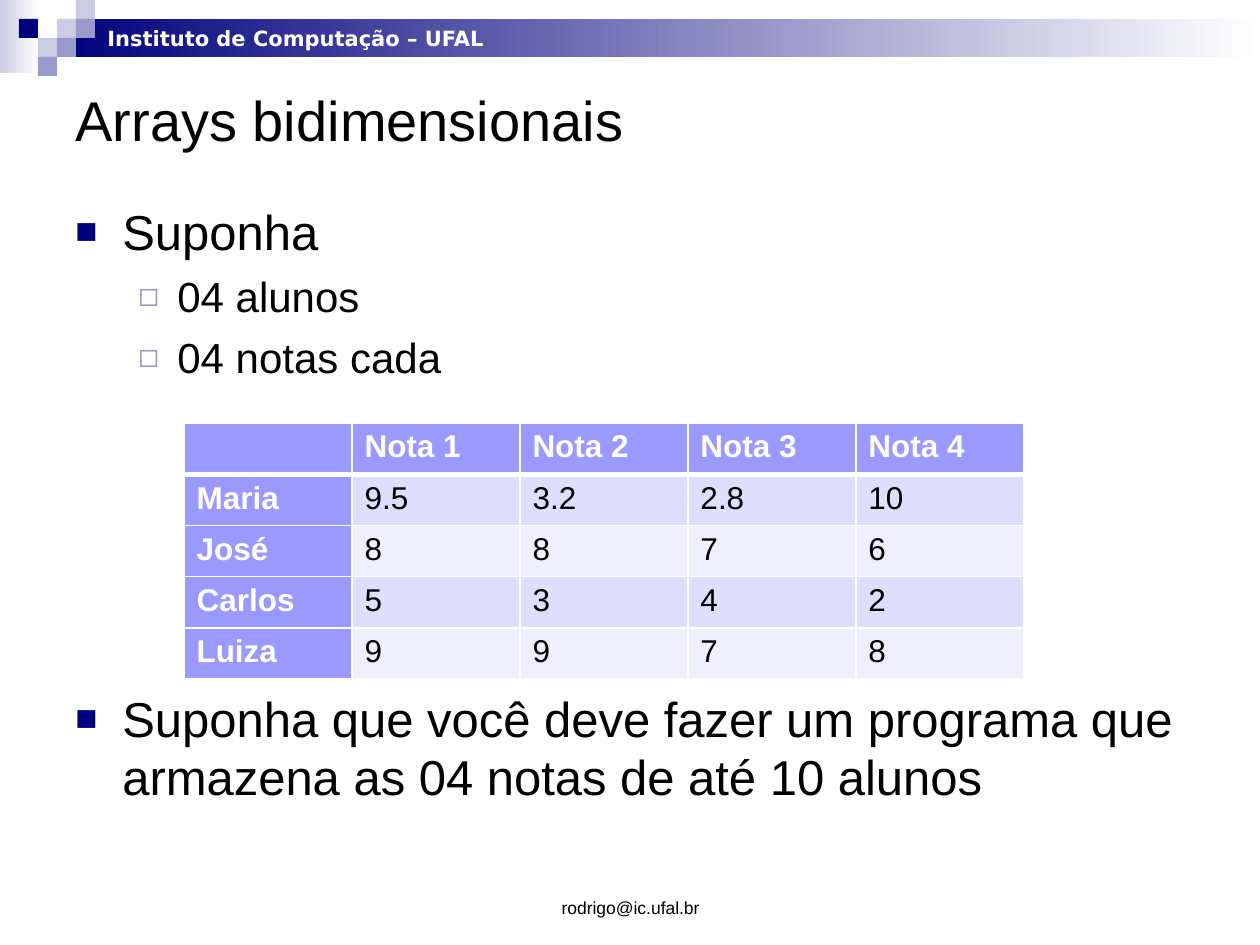
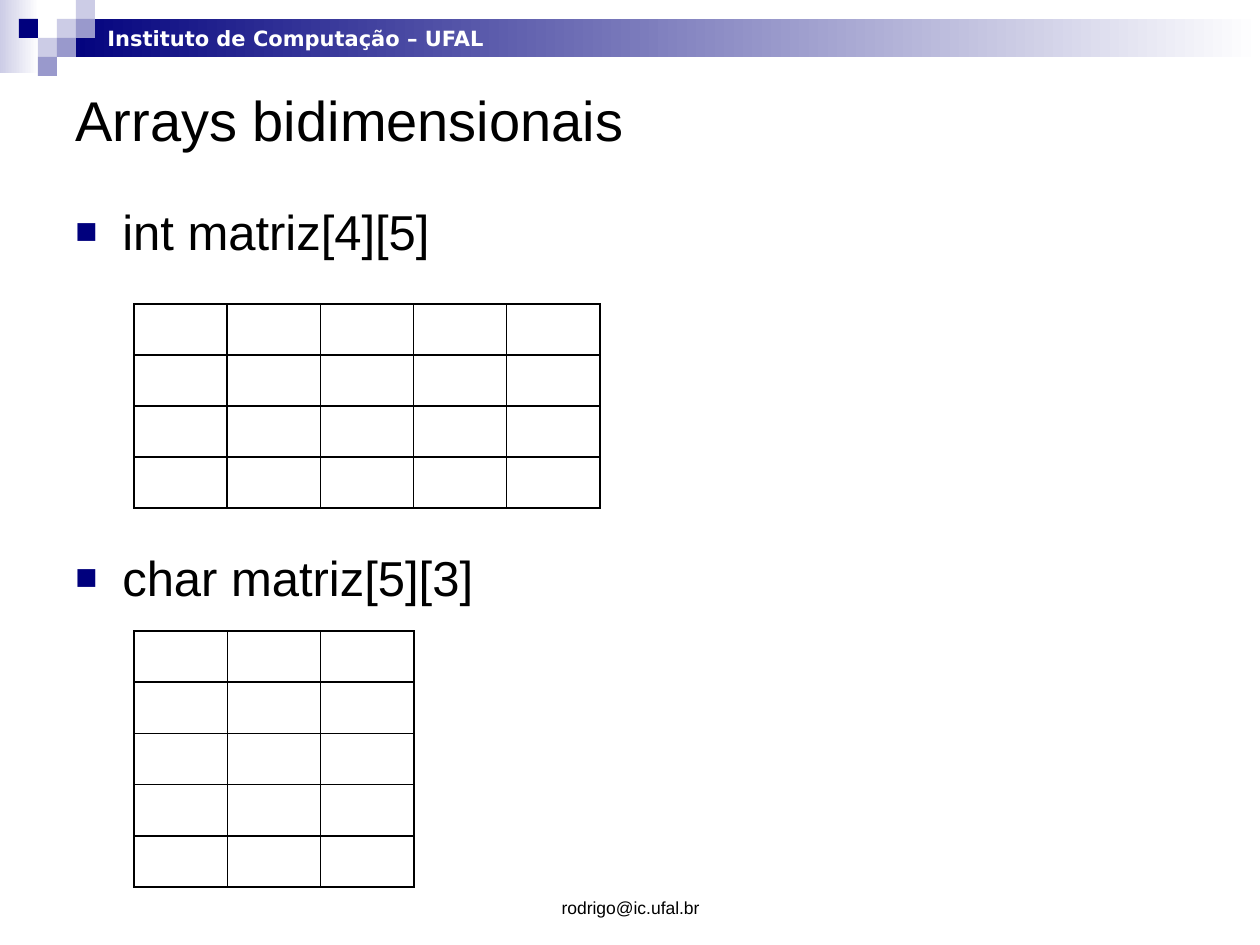
import dataclasses

import lxml.etree
import pptx
import pptx.dml.color
import pptx.enum.shapes
import pptx.enum.text
import pptx.oxml.ns
import pptx.util

PX_PER_INCH = 126
SLIDE_SIZE = (1260, 945)
SQUARE = 19
ANCHOR = pptx.enum.text.MSO_ANCHOR
ALIGN = pptx.enum.text.PP_ALIGN


def px(length):
    return pptx.util.Emu(round(length * pptx.util.Inches(1) / PX_PER_INCH))


def rgb(value):
    return pptx.dml.color.RGBColor.from_string(value)


@dataclasses.dataclass(frozen=True)
class Theme:
    navy: str = "00007D"
    lilac: str = "9999CC"
    pale: str = "CCCCE6"
    white: str = "FFFFFF"
    black: str = "000000"
    table_head: str = "9999FF"
    table_bands: tuple = ("DEDEFF", "EFEFFF")
    body_font: str = "Arial"
    band_font: str = "DejaVu Sans"
    title_size: int = 32
    body_sizes: tuple = (28, 24)
    table_size: int = 18
    band_size: int = 12
    footer_size: int = 10


@dataclasses.dataclass(frozen=True)
class Bullet:
    symbol: str
    color: str
    percent: int
    margin: int
    hanging: int


THEME = Theme()
BULLETS = (
    Bullet("■", THEME.navy, 75, 47, 47),
    Bullet("◻", THEME.lilac, 80, 102, 39),
)
# Column and row of each decorative square, counted in squares
SQUARES = (
    (3, 1, THEME.pale), (4, 0, THEME.pale), (4, 1, THEME.lilac),
    (2, 2, THEME.pale), (1, 1, THEME.navy), (3, 2, THEME.lilac),
    (2, 3, THEME.lilac),
)
GRADES = (
    ("", "Nota 1", "Nota 2", "Nota 3", "Nota 4"),
    ("Maria", "9.5", "3.2", "2.8", "10"),
    ("José", "8", "8", "7", "6"),
    ("Carlos", "5", "3", "4", "2"),
    ("Luiza", "9", "9", "7", "8"),
)


class Deck:
    """Holds the theme, the presentation and the slide being built."""

    def __init__(self, theme):
        self.theme = theme
        self.presentation = pptx.Presentation()
        self.presentation.slide_width, self.presentation.slide_height = map(px, SLIDE_SIZE)
        self.slide = None

    def start_slide(self, title):
        theme = self.theme
        layout = self.presentation.slide_layouts[5]
        self.slide = self.presentation.slides.add_slide(layout)
        self.rectangle((0, 0, 39, 73), theme.pale, theme.white)
        self.rectangle((57, 19, 1203, 38), theme.navy, theme.white)
        for column, row, color in SQUARES:
            self.rectangle((column * SQUARE, row * SQUARE, SQUARE, SQUARE), color)
        self.text((95, 19, 408, 38), "Instituto de Computação – UFAL", wrap=False,
                  name=theme.band_font, size=theme.band_size, bold=True, color=theme.white)
        self.title(title)
        self.text((431, 861, 399, 63), "rodrigo@ic.ufal.br", anchor=ANCHOR.BOTTOM,
                  align=ALIGN.CENTER, size=theme.footer_size)

    def format_font(self, font, **values):
        values = {"name": self.theme.body_font, "bold": False,
                  "color": self.theme.black, **values}
        font.color.rgb = rgb(values.pop("color"))
        values["size"] = pptx.util.Pt(values["size"])
        for name, value in values.items():
            setattr(font, name, value)

    def place(self, shape, box):
        for name, value in zip(("left", "top", "width", "height"), box):
            setattr(shape, name, px(value))

    def rectangle(self, box, color, end_color=None):
        """Add a borderless rectangle, graded left to right if end_color is given."""
        shape = self.slide.shapes.add_shape(
            pptx.enum.shapes.MSO_SHAPE.RECTANGLE, *map(px, box))
        shape.shadow.inherit = False
        shape.line.fill.background()
        if end_color is None:
            shape.fill.solid()
            shape.fill.fore_color.rgb = rgb(color)
            return
        shape.fill.gradient()
        shape.fill.gradient_angle = 0
        for stop, position, value in zip(shape.fill.gradient_stops, (0, 1), (color, end_color)):
            stop.position = position
            stop.color.rgb = rgb(value)

    def title(self, text):
        shape = self.slide.shapes.title
        self.place(shape, (63, 63, 1134, 112))
        frame = shape.text_frame
        frame.text = text
        frame.word_wrap = True
        frame.vertical_anchor = ANCHOR.MIDDLE
        frame.paragraphs[0].alignment = ALIGN.LEFT
        self.format_font(frame.paragraphs[0].runs[0].font, size=self.theme.title_size)

    def text_frame(self, box, wrap=True, anchor=ANCHOR.TOP):
        frame = self.slide.shapes.add_textbox(*map(px, box)).text_frame
        frame.word_wrap = wrap
        frame.vertical_anchor = anchor
        return frame

    def text(self, box, text, wrap=True, anchor=ANCHOR.TOP, align=ALIGN.LEFT, **font):
        paragraph = self.text_frame(box, wrap, anchor).paragraphs[0]
        paragraph.text = text
        paragraph.alignment = align
        self.format_font(paragraph.runs[0].font, **font)

    def bullets(self, items):
        """Add the body text; each item is (level, text, extra points before it)."""
        frame = self.text_frame((63, 195, 1134, 655))
        for index, (level, text, extra) in enumerate(items):
            paragraph = frame.add_paragraph() if index else frame.paragraphs[0]
            size = self.theme.body_sizes[level]
            paragraph.text = text
            paragraph.level = level
            paragraph.space_before = pptx.util.Pt(size / 4 + extra)
            self.format_font(paragraph.runs[0].font, size=size)
            self.add_bullet(paragraph, BULLETS[level])

    def add_bullet(self, paragraph, bullet):
        properties = paragraph._p.get_or_add_pPr()
        properties.set("marL", str(px(bullet.margin)))
        properties.set("indent", str(px(-bullet.hanging)))
        color = self.add_element(properties, "a:buClr")
        self.add_element(color, "a:srgbClr", val=bullet.color)
        self.add_element(properties, "a:buSzPct", val=bullet.percent * 1000)
        self.add_element(properties, "a:buFont", typeface=self.theme.body_font)
        self.add_element(properties, "a:buChar", char=bullet.symbol)

    def add_element(self, parent, tag, **attributes):
        values = {name: str(value) for name, value in attributes.items()}
        return lxml.etree.SubElement(parent, pptx.oxml.ns.qn(tag), values)

    def table(self, box, rows, columns):
        """Add a table of equal cells without any built-in style flags."""
        table = self.slide.shapes.add_table(rows, columns, *map(px, box)).table
        table.first_row = table.horz_banding = False
        for column in table.columns:
            column.width = px(box[2] / columns)
        for row in table.rows:
            row.height = px(box[3] / rows)
        return table

    def borders(self, cell, color, top=1, bottom=1):
        properties = cell._tc.get_or_add_tcPr()
        for side, width in {"L": 1, "R": 1, "T": top, "B": bottom}.items():
            line = self.add_element(properties, f"a:ln{side}", w=pptx.util.Pt(width))
            fill = self.add_element(line, "a:solidFill")
            self.add_element(fill, "a:srgbClr", val=color)

    def empty_grid(self, box, rows, columns):
        for cell in self.table(box, rows, columns).iter_cells():
            self.borders(cell, self.theme.black)
            cell.fill.background()

    def data_table(self, box, data):
        theme = self.theme
        table = self.table(box, len(data), len(data[0]))
        for row, values in enumerate(data):
            for column, value in enumerate(values):
                cell = table.cell(row, column)
                is_head = row == 0 or column == 0
                self.borders(cell, theme.white, top=3 if row == 1 else 1,
                             bottom=3 if row == 0 else 1)
                cell.fill.solid()
                cell.fill.fore_color.rgb = rgb(
                    theme.table_head if is_head else theme.table_bands[(row - 1) % 2])
                if value:
                    cell.text = value
                    self.format_font(cell.text_frame.paragraphs[0].runs[0].font,
                                     size=theme.table_size, bold=is_head,
                                     color=theme.white if is_head else theme.black)


def main():
    deck = Deck(THEME)

    deck.start_slide("Arrays bidimensionais")
    deck.bullets((
        (0, "Suponha", 0),
        (1, "04 alunos", 0),
        (1, "04 notas cada", 0),
        (0, "Suponha que você deve fazer um programa que armazena as 04 notas "
            "de até 10 alunos", 168),
    ))
    deck.data_table((184, 423, 840, 256), GRADES)

    deck.start_slide("Arrays bidimensionais")
    deck.bullets(((0, "int matriz[4][5]", 0), (0, "char matriz[5][3]", 157)))
    deck.empty_grid((134, 304, 466, 204), rows=4, columns=5)
    deck.empty_grid((134, 631, 280, 256), rows=5, columns=3)

    deck.presentation.save("out.pptx")


if __name__ == "__main__":
    main()
